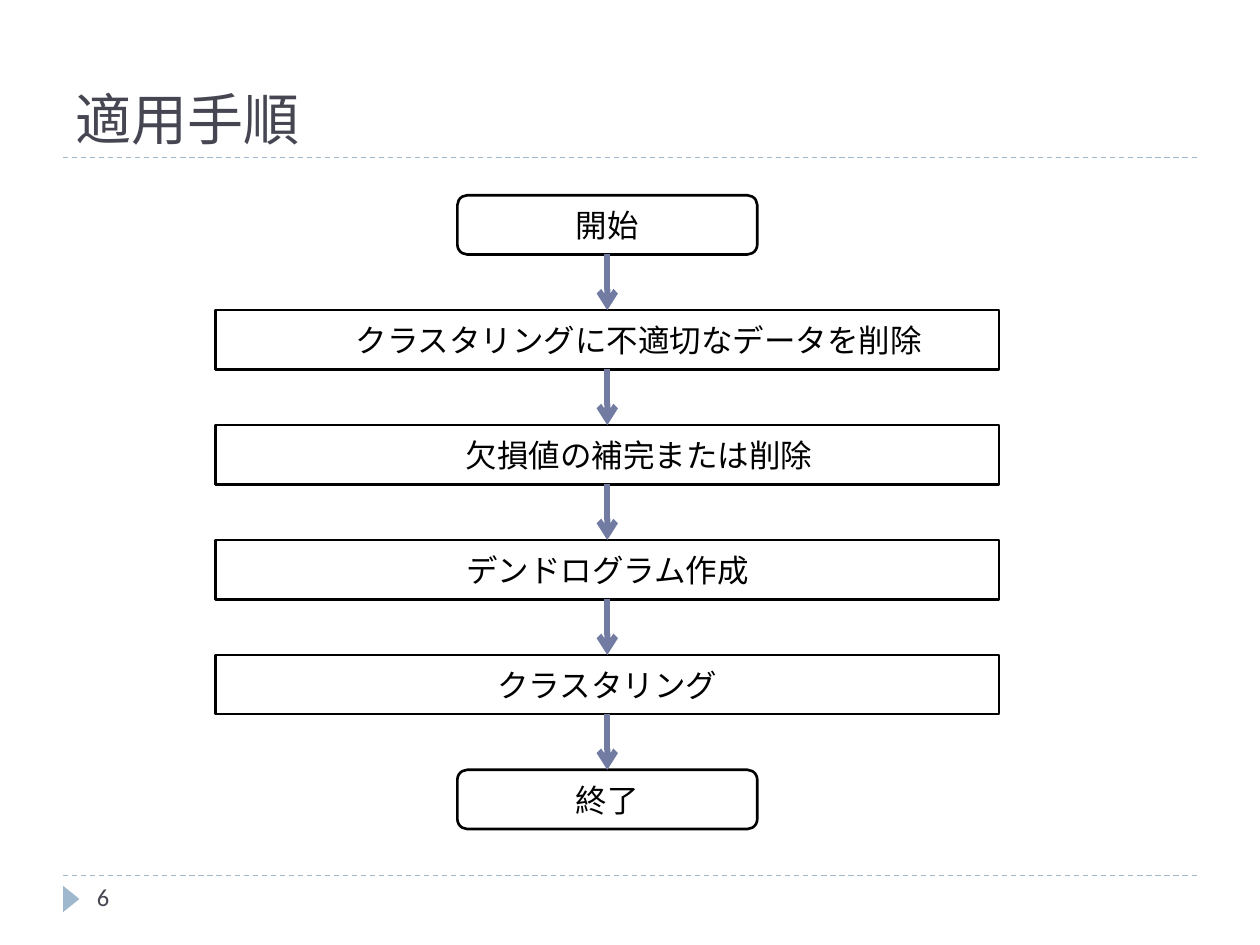
from dataclasses import dataclass
from itertools import pairwise

from lxml import etree
from pptx import Presentation
from pptx.dml.color import RGBColor
from pptx.enum.dml import MSO_LINE
from pptx.enum.shapes import MSO_CONNECTOR, MSO_SHAPE
from pptx.enum.text import MSO_ANCHOR, PP_ALIGN
from pptx.oxml.ns import qn
from pptx.util import Inches, Pt

TERMINAL = MSO_SHAPE.FLOWCHART_ALTERNATE_PROCESS
PROCESS = MSO_SHAPE.FLOWCHART_PROCESS
TRIANGLE = MSO_SHAPE.ISOSCELES_TRIANGLE
STRAIGHT = MSO_CONNECTOR.STRAIGHT
DASH = MSO_LINE.DASH
TOP, MIDDLE, BOTTOM = MSO_ANCHOR.TOP, MSO_ANCHOR.MIDDLE, MSO_ANCHOR.BOTTOM
LEFT, CENTER = PP_ALIGN.LEFT, PP_ALIGN.CENTER


@dataclass(frozen=True)
class Theme:
    heading: RGBColor = RGBColor(0x46, 0x46, 0x53)
    ink: RGBColor = RGBColor(0, 0, 0)
    paper: RGBColor = RGBColor(0xFF, 0xFF, 0xFF)
    accent: RGBColor = RGBColor(0x9F, 0xB8, 0xCD)
    arrow: RGBColor = RGBColor(0x72, 0x7C, 0xA3)
    title_font: str = "Roboto Slab"
    body_font: str = "Calibri"
    title_size: Pt = Pt(32)
    step_size: Pt = Pt(18)
    number_size: Pt = Pt(14)
    rule_width: Pt = Pt(0.75)
    box_width: Pt = Pt(1.5)
    arrow_width: Pt = Pt(3.5)


@dataclass(frozen=True)
class Step:
    text: str
    kind: MSO_SHAPE = PROCESS
    width: float = 6.22
    level: int = 0


THEME = Theme()
STEPS = [
    Step("開始", TERMINAL, 2.38),
    Step("クラスタリングに不適切なデータを削除", level=1),
    Step("欠損値の補完または削除", level=1),
    Step("デンドログラム作成"),
    Step("クラスタリング"),
    Step("終了", TERMINAL, 2.38),
]
FLOW_CENTER, FLOW_TOP = 4.82, 1.55
STEP_PITCH, STEP_HEIGHT = 0.912, 0.47
LEVEL_INDENT = 0.5
RULE_LEFT, RULE_RIGHT = 0.5, 9.5
RULE_HEIGHTS = (6.95, 1.25)


def write_text(shape, text: str, font: dict, anchor: MSO_ANCHOR = TOP,
               align: PP_ALIGN = LEFT, level: int = 0) -> None:
    frame = shape.text_frame
    frame.word_wrap = True
    frame.vertical_anchor = anchor
    paragraph = frame.paragraphs[0]
    paragraph.alignment = align
    if level:
        paragraph.level = level
        properties = paragraph._p.get_or_add_pPr()
        properties.set("marL", str(Inches(LEVEL_INDENT * level)))
        properties.set("indent", "0")
    run = paragraph.add_run()
    run.text = text
    font = dict(font)
    run.font.color.rgb = font.pop("color")
    for attribute, value in font.items():
        setattr(run.font, attribute, value)


def add_label(slide, box: tuple[float, ...], text: str, font: dict,
              anchor: MSO_ANCHOR = TOP) -> None:
    label = slide.shapes.add_textbox(*map(Inches, box))
    write_text(label, text, font, anchor)


def add_line(slide, start: tuple[float, float], end: tuple[float, float],
             color: RGBColor, line_format: dict, arrow: bool = False) -> None:
    connector = slide.shapes.add_connector(STRAIGHT, *map(Inches, start + end))
    connector.line.color.rgb = color
    for attribute, value in line_format.items():
        setattr(connector.line, attribute, value)
    if arrow:
        head = etree.SubElement(connector.line._get_or_add_ln(), qn("a:tailEnd"))
        head.set("type", "arrow")
    etree.SubElement(connector._element.spPr, qn("a:effectLst"))


def add_filled(slide, kind: MSO_SHAPE, box: tuple[float, ...], fill: RGBColor):
    shape = slide.shapes.add_shape(kind, *map(Inches, box))
    shape.shadow.inherit = False
    shape.fill.solid()
    shape.fill.fore_color.rgb = fill
    return shape


def add_frame(slide) -> None:
    """Draw the rules, page marker, title and page number."""
    for y in RULE_HEIGHTS:
        add_line(slide, (RULE_LEFT, y), (RULE_RIGHT, y), THEME.accent,
                 {"width": THEME.rule_width, "dash_style": DASH})
    marker = add_filled(slide, TRIANGLE, (0.46, 7.07, 0.21, 0.13), THEME.accent)
    marker.rotation = 90
    marker.line.fill.background()
    add_label(slide, (0.5, 0.17, 9, 1.08), "適用手順",
              {"name": THEME.title_font, "size": THEME.title_size,
               "color": THEME.heading}, BOTTOM)
    add_label(slide, (0.67, 6.95, 2.17, 0.4), "6",
              {"name": THEME.body_font, "size": THEME.number_size,
               "color": THEME.heading})


def add_step(slide, step: Step, top: float) -> None:
    left = FLOW_CENTER - step.width / 2
    box = add_filled(slide, step.kind, (left, top, step.width, STEP_HEIGHT),
                     THEME.paper)
    box.line.color.rgb = THEME.ink
    box.line.width = THEME.box_width
    write_text(box, step.text,
               {"name": THEME.body_font, "size": THEME.step_size,
                "color": THEME.ink}, MIDDLE, CENTER, step.level)


def add_flow(slide) -> None:
    tops = [FLOW_TOP + i * STEP_PITCH for i in range(len(STEPS))]
    for step, top in zip(STEPS, tops):
        add_step(slide, step, top)
    for top, next_top in pairwise(tops):
        add_line(slide, (FLOW_CENTER, top + STEP_HEIGHT), (FLOW_CENTER, next_top),
                 THEME.arrow, {"width": THEME.arrow_width}, arrow=True)


def main() -> None:
    deck = Presentation()
    deck.slide_width, deck.slide_height = Inches(10), Inches(7.5)
    slide = deck.slides.add_slide(deck.slide_layouts[6])
    add_frame(slide)
    add_flow(slide)
    deck.save("out.pptx")


if __name__ == "__main__":
    main()
